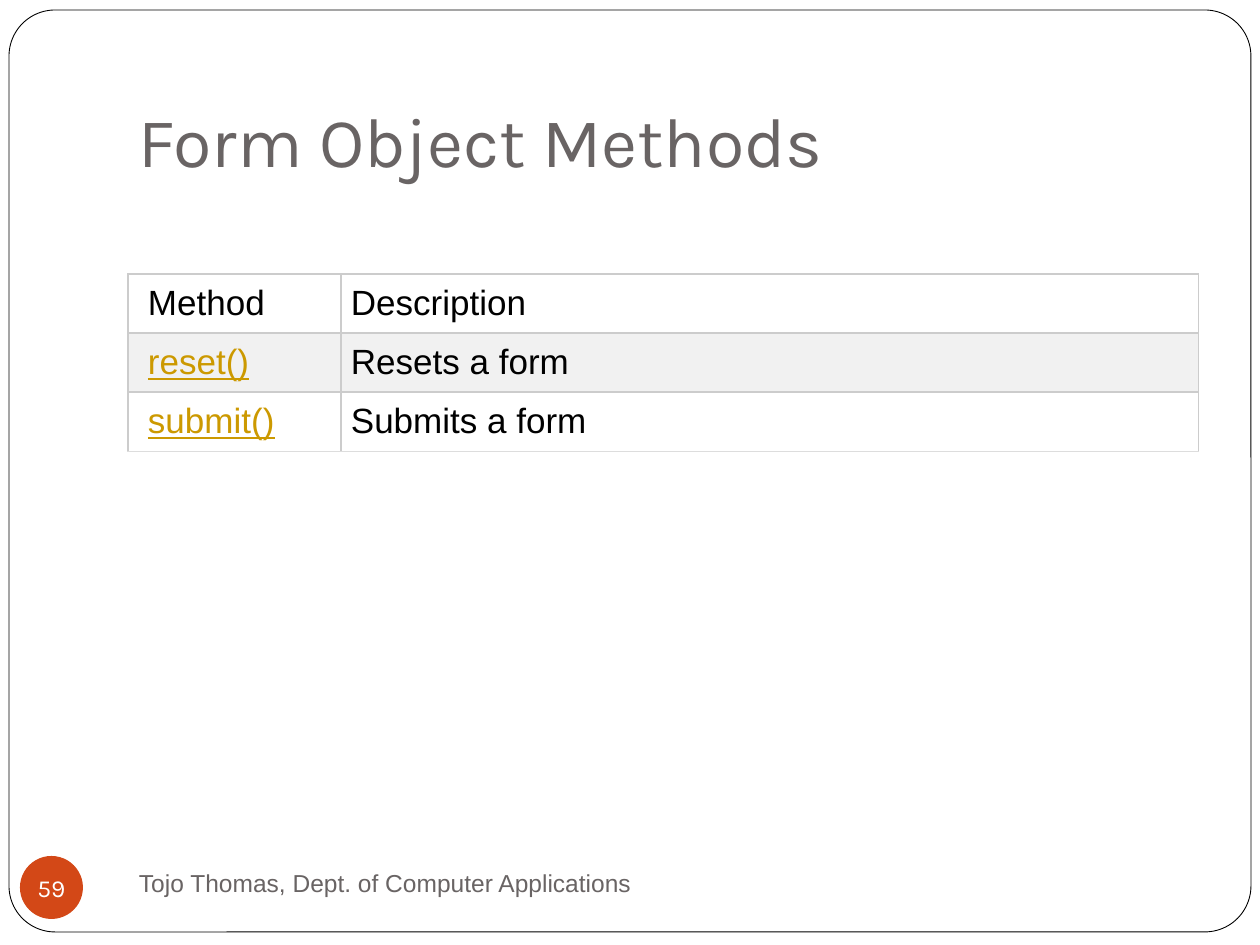
from lxml.etree import SubElement
from pptx import Presentation
from pptx.dml.color import RGBColor
from pptx.enum.shapes import MSO_SHAPE as SHAPE
from pptx.enum.text import MSO_ANCHOR as ANCHOR, MSO_AUTO_SIZE as FIT, PP_ALIGN as ALIGN
from pptx.oxml.ns import qn
from pptx.util import Emu, Pt

PX = 914400 // 126
HEAD_FONT, BODY_FONT = "Karla", "Arial"
WHITE, BLACK, GREY = "FFFFFF", "000000", "696464"
ACCENT, LINK, BAND = "D34817", "CC9900", "F1F1F1"
GRID, GRID_END = "CCCCCC", "DDDDDD"


def px(*lengths):
    """Turn pixel lengths into EMU."""
    return [Emu(n * PX) for n in lengths]


def rgb(value):
    """Turn a hex string into a colour."""
    return RGBColor.from_string(value)


class Deck:
    """Holds the style and the current slide."""

    def __init__(self, width, height):
        """Start a presentation with one title-only slide."""
        self.prs = Presentation()
        self.prs.slide_width, self.prs.slide_height = px(width, height)
        self.s = self.prs.slides.add_slide(self.prs.slide_layouts[5])

    def run(self, p, text, size, font, color, underline=None):
        """Add one formatted run."""
        r = p.add_run()
        r.text = text
        r.font.size, r.font.name = Pt(size), font
        r.font.color.rgb = rgb(color)
        r.font.underline = underline

    def frame(self, tf, anchor, insets, wrap=True):
        """Set anchor, insets and wrapping of a text frame."""
        tf.auto_size, tf.word_wrap, tf.vertical_anchor = FIT.NONE, wrap, anchor
        tf.margin_left, tf.margin_top, tf.margin_right, tf.margin_bottom = px(*insets)
        return tf.paragraphs[0]

    def title(self, text, box):
        """Fill the title placeholder and bring it to the front."""
        sp = self.s.shapes.title
        sp.left, sp.top, sp.width, sp.height = px(*box)
        p = self.frame(sp.text_frame, ANCHOR.BOTTOM, (13, 6, 13, 13))
        p.alignment = ALIGN.LEFT
        self.run(p, text, 40, HEAD_FONT, GREY)
        sp.element.getparent().append(sp.element)

    def shape(self, kind, box, fill, line=None):
        """Add a preset shape with an optional thin outline."""
        sp = self.s.shapes.add_shape(kind, *px(*box))
        sp.shadow.inherit = False
        sp.fill.solid()
        sp.fill.fore_color.rgb = rgb(fill)
        if line:
            sp.line.color.rgb, sp.line.width = rgb(line), Pt(0.5)
        else:
            sp.line.fill.background()
        return sp

    def badge(self, text, box):
        """Add the round page number."""
        sp = self.shape(SHAPE.OVAL, box, ACCENT)
        p = self.frame(sp.text_frame, ANCHOR.MIDDLE, (0, 0, 0, 0), wrap=False)
        p.alignment = ALIGN.CENTER
        self.run(p, text, 14, HEAD_FONT, WHITE)

    def text(self, text, box):
        """Add a footer text box."""
        sp = self.s.shapes.add_textbox(*px(*box))
        p = self.frame(sp.text_frame, ANCHOR.MIDDLE, (13, 6, 13, 6))
        self.run(p, text, 14, BODY_FONT, GREY)

    def borders(self, cell, bottom):
        """Draw the four borders of a cell."""
        tc_pr = cell._tc.get_or_add_tcPr()
        for i, side in enumerate("LRTB"):
            ln = SubElement(tc_pr, qn("a:ln" + side), w=str(Pt(0.75)))
            fill = SubElement(ln, qn("a:solidFill"))
            SubElement(fill, qn("a:srgbClr"), val=bottom if side == "B" else GRID)
            tc_pr.insert(i, ln)

    def table(self, rows, left, top, widths, row_height):
        """Add a table with a header row and linked method names."""
        box = px(left, top, sum(widths), row_height * len(rows))
        table = self.s.shapes.add_table(len(rows), len(widths), *box).table
        for column, width in zip(table.columns, px(*widths)):
            column.width = width
        for i, row in enumerate(rows):
            for j, text in enumerate(row):
                cell = table.cell(i, j)
                cell.fill.solid()
                cell.fill.fore_color.rgb = rgb(BAND if i % 2 else WHITE)
                cell.margin_left, cell.margin_top = px(10 if j else 20, 10)
                cell.margin_right, cell.margin_bottom = px(10, 10)
                linked = i > 0 and j == 0
                self.run(cell.text_frame.paragraphs[0], text, 20, BODY_FONT,
                         LINK if linked else BLACK, linked)
                self.borders(cell, GRID_END if i == len(rows) - 1 else GRID)


deck = Deck(1260, 945)
panel = deck.shape(SHAPE.ROUNDED_RECTANGLE, (9, 10, 1242, 922), WHITE, BLACK)
panel.adjustments[0] = 0.05
deck.title("Form Object Methods", (126, 38, 1071, 157))
deck.table([("Method", "Description"),
            ("reset()", "Resets a form"),
            ("submit()", "Submits a form")], 128, 274, (213, 858), 55)
deck.text("Tojo Thomas, Dept. of Computer Applications", (126, 851, 546, 63))
deck.badge("59", (20, 856, 63, 63))
deck.prs.save("out.pptx")
